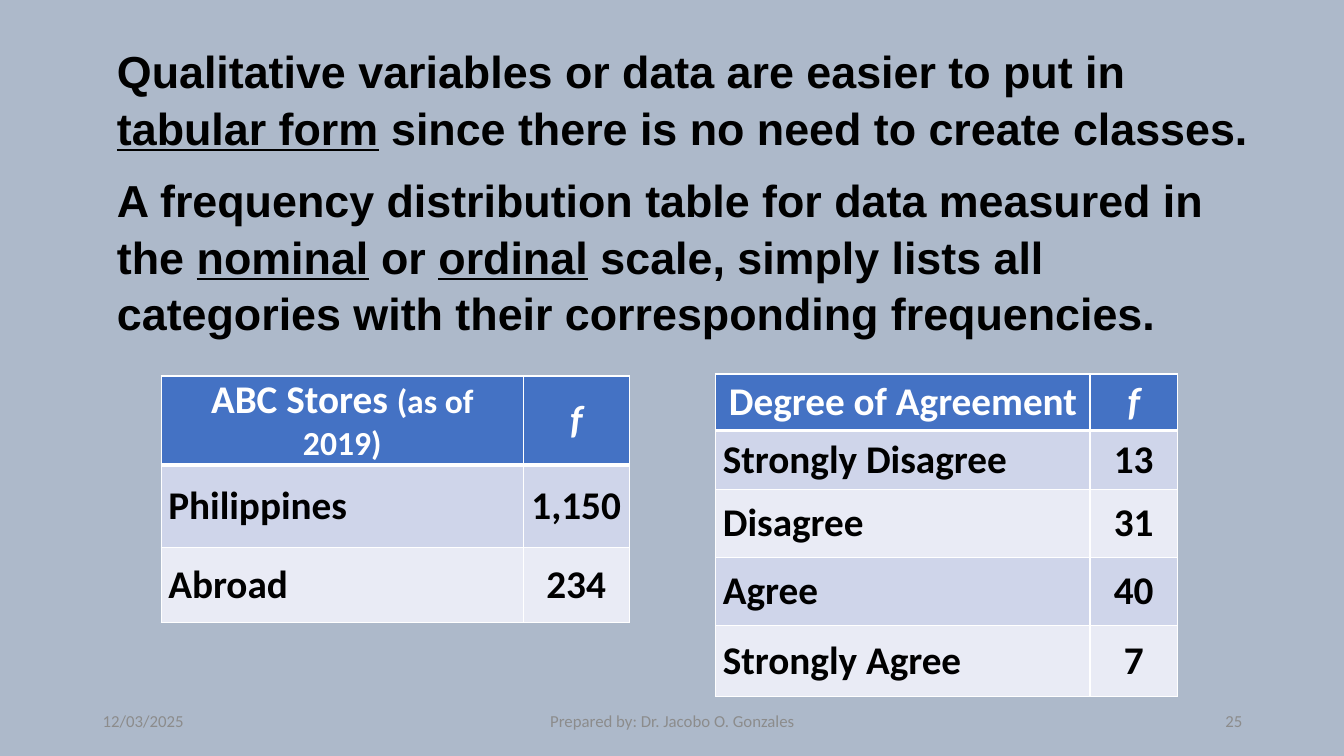
from dataclasses import dataclass, field

from lxml.etree import SubElement
from pptx import Presentation
from pptx.dml.color import RGBColor
from pptx.enum.text import MSO_ANCHOR as Anchor, MSO_AUTO_SIZE as AutoSize, PP_ALIGN as Align
from pptx.oxml.ns import qn
from pptx.slide import Slide
from pptx.table import _Cell as Cell
from pptx.text.text import _Paragraph as Para
from pptx.util import Inches, Pt

BACKDROP = RGBColor(0xAD, 0xB9, 0xCA)
BLACK = RGBColor(0x00, 0x00, 0x00)
WHITE = RGBColor(0xFF, 0xFF, 0xFF)
GREY = RGBColor(0x8C, 0x8C, 0x8C)
HEADER_BLUE = RGBColor(0x44, 0x72, 0xC4)
BANDS = (RGBColor(0xCF, 0xD5, 0xEA), RGBColor(0xE9, 0xEB, 0xF5))

BODY_FONT = {"name": "Arial", "size": Pt(32), "bold": True}
CELL_FONT = {"name": "Calibri", "size": Pt(28), "bold": True}
FOOTER_FONT = {"name": "Calibri", "size": Pt(12)}


@dataclass
class Span:
    text: str
    format: dict = field(default_factory=dict)


@dataclass
class FrequencyTable:
    left: float
    top: float
    widths: list[float]
    heights: list[float]
    heading: list[Span]
    counts: list[tuple[str, str]]


@dataclass
class FooterItem:
    text: str
    left: float
    width: float
    align: Align


UNDERLINED = {"underline": True}
STATEMENTS = [
    [
        Span("Qualitative variables or data are easier to put in "),
        Span("tabular form", UNDERLINED),
        Span(" since there is no need to create classes."),
    ],
    [
        Span("A frequency distribution table for data measured in the "),
        Span("nominal", UNDERLINED),
        Span(" or "),
        Span("ordinal", UNDERLINED),
        Span(" scale, simply lists all categories with their corresponding frequencies."),
    ],
]
TABLES = [
    FrequencyTable(
        7.1, 3.71, [3.71, 0.87], [0.56, 0.59, 0.67, 0.68, 0.7],
        [Span("Degree of Agreement")],
        [("Strongly Disagree", "13"), ("Disagree", "31"), ("Agree", "40"), ("Strongly Agree", "7")],
    ),
    FrequencyTable(
        1.6, 3.73, [3.59, 1.05], [0.86, 0.82, 0.74],
        [Span("ABC Stores "), Span("(as of 2019)", {"size": Pt(24)})],
        [("Philippines", "1,150"), ("Abroad", "234")],
    ),
]
FOOTER = [
    FooterItem("12/03/2025", 0.92, 3, Align.LEFT),
    FooterItem("Prepared by: Dr. Jacobo O. Gonzales", 4.42, 4.5, Align.CENTER),
    FooterItem("25", 9.42, 3, Align.RIGHT),
]


def write_spans(para: Para, spans: list[Span], base: dict, color: RGBColor) -> None:
    for span in spans:
        run = para.add_run()
        run.text = span.text
        for name, value in (base | span.format).items():
            setattr(run.font, name, value)
        run.font.color.rgb = color


def add_statements(slide: Slide) -> None:
    body = slide.placeholders[1]
    body.left, body.top, body.width, body.height = map(Inches, (1.06, 0.36, 11.54, 3.06))
    body.fill.solid()
    body.fill.fore_color.rgb = BACKDROP
    frame = body.text_frame
    frame.auto_size = AutoSize.NONE
    frame.vertical_anchor = Anchor.TOP
    for index, spans in enumerate(STATEMENTS):
        para = frame.add_paragraph() if index else frame.paragraphs[0]
        layout = {"line_spacing": 1.05, "space_before": Pt(11.5 if index else 0), "space_after": Pt(0)}
        for name, value in layout.items():
            setattr(para, name, value)
        properties = para._p.get_or_add_pPr()
        properties.set("marL", "0")
        properties.set("indent", "0")
        SubElement(properties, qn("a:buNone"))
        write_spans(para, spans, BODY_FONT, BLACK)


def set_borders(cell: Cell, row: int) -> None:
    """Draw white cell edges, heavier between the heading and the first count."""
    properties = cell._tc.get_or_add_tcPr()
    points = {"lnL": 1, "lnR": 1, "lnT": 3 if row == 1 else 1, "lnB": 3 if row == 0 else 1}
    for tag, width in points.items():
        line = SubElement(properties, qn(f"a:{tag}"), w=str(Pt(width)))
        fill = SubElement(line, qn("a:solidFill"))
        SubElement(fill, qn("a:srgbClr"), val=str(WHITE))


def fill_cell(cell: Cell, row: int, column: int, spans: list[Span]) -> None:
    set_borders(cell, row)
    cell.fill.solid()
    cell.fill.fore_color.rgb = BANDS[(row - 1) % 2] if row else HEADER_BLUE
    layout = {
        "vertical_anchor": Anchor.MIDDLE,
        "margin_left": Inches(0.07),
        "margin_right": Inches(0.07),
        "margin_top": 0,
        "margin_bottom": 0,
    }
    for name, value in layout.items():
        setattr(cell, name, value)
    para = cell.text_frame.paragraphs[0]
    para.alignment = Align.LEFT if row and column == 0 else Align.CENTER
    write_spans(para, spans, CELL_FONT, BLACK if row else WHITE)


def add_frequency_table(slide: Slide, data: FrequencyTable) -> None:
    rows = [[data.heading, [Span("f", {"italic": True})]]]
    rows += [[[Span(category)], [Span(count)]] for category, count in data.counts]
    table = slide.shapes.add_table(
        len(rows), len(data.widths), Inches(data.left), Inches(data.top),
        Inches(sum(data.widths)), Inches(sum(data.heights)),
    ).table
    for column, width in zip(table.columns, data.widths):
        column.width = Inches(width)
    for row, height in zip(table.rows, data.heights):
        row.height = Inches(height)
    for r, cells in enumerate(rows):
        for c, spans in enumerate(cells):
            fill_cell(table.cell(r, c), r, c, spans)


def add_footer_item(slide: Slide, item: FooterItem) -> None:
    box = slide.shapes.add_textbox(Inches(item.left), Inches(6.95), Inches(item.width), Inches(0.4))
    box.text_frame.word_wrap = True
    box.text_frame.vertical_anchor = Anchor.MIDDLE
    para = box.text_frame.paragraphs[0]
    para.alignment = item.align
    write_spans(para, [Span(item.text)], FOOTER_FONT, GREY)


def main() -> None:
    deck = Presentation()
    deck.slide_width, deck.slide_height = Inches(13.33), Inches(7.5)
    slide = deck.slides.add_slide(deck.slide_layouts[1])
    slide.background.fill.solid()
    slide.background.fill.fore_color.rgb = BACKDROP
    title = slide.shapes.title.element
    title.getparent().remove(title)
    add_statements(slide)
    for data in TABLES:
        add_frequency_table(slide, data)
    for item in FOOTER:
        add_footer_item(slide, item)
    deck.save("out.pptx")


if __name__ == "__main__":
    main()
